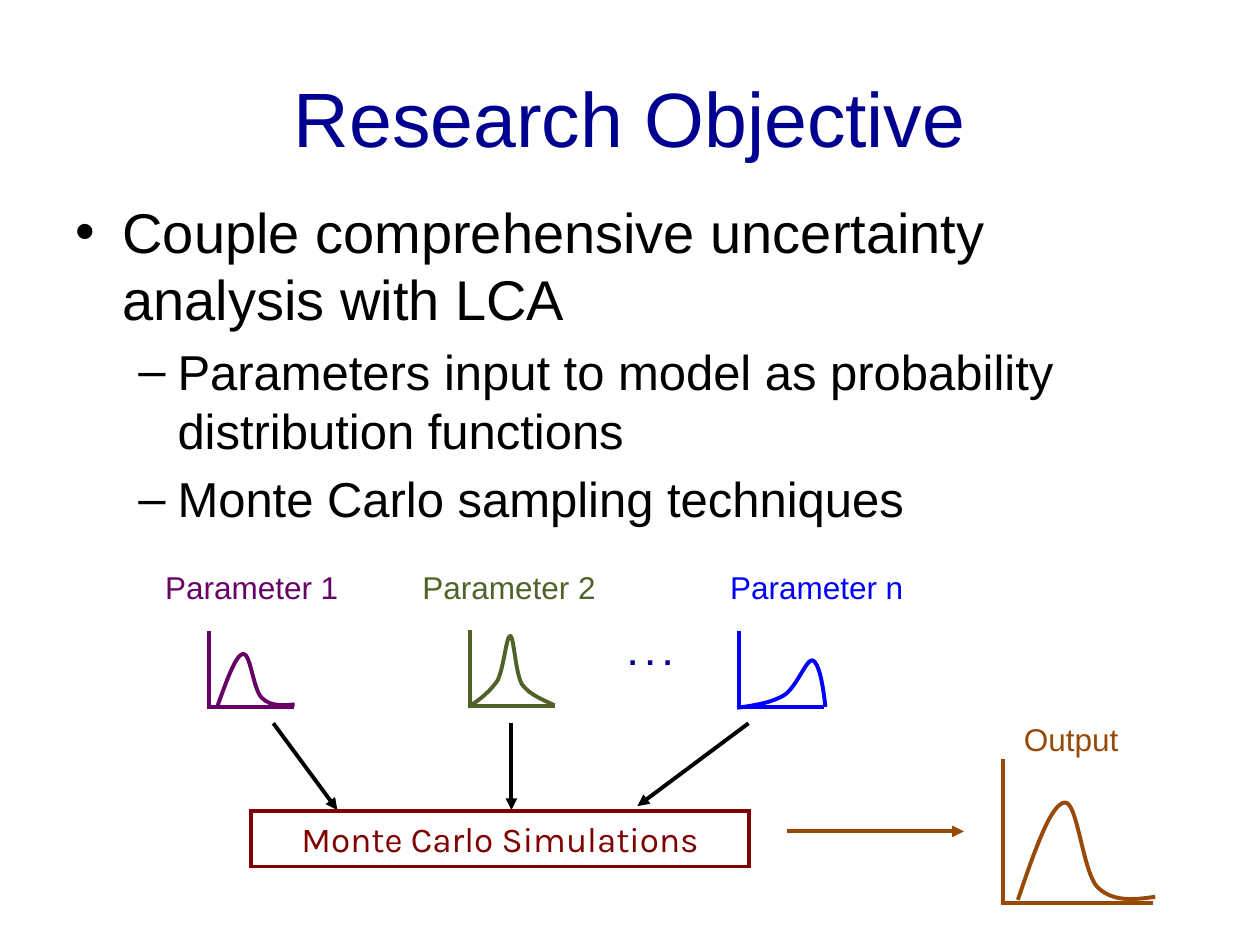
"""Build the Research Objective slide with its Monte Carlo diagram."""
from lxml.etree import SubElement
from pptx import Presentation
from pptx.dml.color import RGBColor
from pptx.enum.shapes import MSO_CONNECTOR, MSO_SHAPE
from pptx.enum.text import MSO_ANCHOR, PP_ALIGN
from pptx.oxml.ns import qn
from pptx.util import Cm, Pt

color = RGBColor.from_string
LINE_WIDTH = Pt(2.25)


def add_line(page, start, end, line_color, arrow=False):
    """Draw a straight line, optionally with an arrowhead at its end."""
    points = [Cm(value) for value in (*start, *end)]
    line = page.shapes.add_connector(MSO_CONNECTOR.STRAIGHT, *points)
    line.line.color.rgb = color(line_color)
    line.line.width = LINE_WIDTH
    properties = line._element.spPr
    SubElement(properties, qn("a:effectLst"))
    if arrow:
        SubElement(properties.find(qn("a:ln")), qn("a:tailEnd"), type="triangle")


def set_text(frame, text, size, font_color, alignment, name="Arial", bold=False):
    """Write one formatted paragraph into a text frame."""
    frame.text = text
    frame.word_wrap = True
    paragraph = frame.paragraphs[0]
    paragraph.alignment = alignment
    font = paragraph.runs[0].font
    font.size = Pt(size)
    font.name = name
    font.bold = bold
    font.color.rgb = color(font_color)


deck = Presentation()
deck.slide_width = Cm(25.4)
deck.slide_height = Cm(19.05)
page = deck.slides.add_slide(deck.slide_layouts[5])

title = page.shapes.title
title.left, title.top, title.width, title.height = Cm(1.27), Cm(0.76), Cm(22.86), Cm(3.18)
set_text(title.text_frame, "Research Objective", 44, "000090", PP_ALIGN.CENTER)
title.text_frame.vertical_anchor = MSO_ANCHOR.MIDDLE

body = page.shapes.add_textbox(Cm(1.27), Cm(3.85), Cm(22.86), Cm(12.57))
body.text_frame.word_wrap = True
bullets = [
    ("Couple comprehensive uncertainty analysis with LCA", 0),
    ("Parameters input to model as probability distribution functions", 1),
    ("Monte Carlo sampling techniques", 1),
]
levels = [("•", 32, 0.95, -0.95), ("–", 28, 2.06, -0.79)]
body.text_frame.text = "\n".join(text for text, level in bullets)
for index, (paragraph, (text, level)) in enumerate(zip(body.text_frame.paragraphs, bullets)):
    mark, size, margin, indent = levels[level]
    paragraph.level = level
    properties = paragraph._p.get_or_add_pPr()
    properties.set("marL", str(Cm(margin)))
    properties.set("indent", str(Cm(indent)))
    SubElement(properties, qn("a:buFont"), typeface="Arial")
    SubElement(properties, qn("a:buChar"), char=mark)
    if index:
        paragraph.space_before = Pt(size * 0.2)
    font = paragraph.runs[0].font
    font.size = Pt(size)
    font.name = "Arial"
    font.color.rgb = color("000000")

simulation = page.shapes.add_shape(MSO_SHAPE.RECTANGLE, Cm(5.07), Cm(16.35), Cm(10.03), Cm(1.12))
simulation.shadow.inherit = False
simulation.fill.solid()
simulation.fill.fore_color.rgb = color("FFFFFF")
simulation.line.color.rgb = color("800000")
simulation.line.width = LINE_WIDTH
SubElement(simulation._element.spPr.find(qn("a:ln")), qn("a:miter"), lim="800000")
set_text(simulation.text_frame, "Monte Carlo Simulations", 20, "800000", PP_ALIGN.CENTER, "Karla")

arrows = [
    ((10.31, 14.58), (10.31, 16.33), "000000"),
    ((15.09, 14.58), (12.85, 16.25), "000000"),
    ((5.51, 14.58), (6.8, 16.33), "000000"),
    ((15.86, 16.76), (19.43, 16.76), "984807"),
]
for start, end, line_color in arrows:
    add_line(page, start, end, line_color, arrow=True)

plots = [
    ((4.21, 12.72, 5.92, 14.25), "660066", [
        (4.39, 14.22), (4.57, 13.72), (4.75, 13.21), (4.9, 13.18), (5.05, 13.16),
        (5.11, 13.92), (5.28, 14.07), (5.46, 14.25), (5.72, 14.22), (5.94, 14.2)]),
    ((9.47, 12.7, 11.18, 14.24), "4F6228", [
        (9.45, 14.25), (9.68, 14.1), (9.88, 13.94), (10.03, 13.72), (10.16, 13.46),
        (10.21, 12.8), (10.29, 12.82), (10.36, 12.83), (10.39, 13.56), (10.52, 13.79),
        (10.67, 14.02), (11.05, 14.15), (11.18, 14.22)]),
    ((14.9, 12.72, 16.61, 14.25), "0000FF", [
        (14.86, 14.27), (15.21, 14.22), (15.54, 14.17), (15.8, 14.02), (16.05, 13.87),
        (16.26, 13.28), (16.38, 13.31), (16.51, 13.36), (16.59, 13.79), (16.64, 14.25)]),
    ((20.21, 15.31, 23.24, 18.2), "984807", [
        (20.52, 18.14), (20.85, 17.17), (21.18, 16.21), (21.46, 16.18), (21.72, 16.13),
        (21.82, 17.55), (22.12, 17.88), (22.43, 18.19), (22.86, 18.14), (23.29, 18.08)]),
]
for (left, top, right, bottom), line_color, controls in plots:
    add_line(page, (left, top), (left, bottom), line_color)
    add_line(page, (right, bottom), (left - 0.03, bottom), line_color)
    points = [(Cm(x), Cm(y)) for x, y in controls]
    builder = page.shapes.build_freeform(*points[0])
    builder.add_line_segments(points[1:], close=False)
    curve = builder.convert_to_shape()
    curve.shadow.inherit = False
    curve.fill.background()
    curve.line.color.rgb = color(line_color)
    curve.line.width = LINE_WIDTH
    outline = next(curve._element.iter(qn("a:path")))
    for index, segment in enumerate(outline.findall(qn("a:lnTo"))):
        if index % 3 == 0:
            bezier = SubElement(outline, qn("a:cubicBezTo"))
        bezier.append(segment[0])
        outline.remove(segment)

labels = [
    ("Parameter 1", 2.61, 11.33, 4.93, "660066", PP_ALIGN.CENTER, False),
    ("Parameter 2", 7.8, 11.33, 4.93, "4F6228", PP_ALIGN.CENTER, False),
    ("Parameter n", 14, 11.33, 4.93, "0000FF", PP_ALIGN.CENTER, False),
    (". . .", 12.42, 12.65, 1.83, "000090", PP_ALIGN.LEFT, True),
    ("Output", 19.6, 14.39, 3.99, "984807", PP_ALIGN.CENTER, False),
]
for text, left, top, width, font_color, alignment, bold in labels:
    label = page.shapes.add_textbox(Cm(left), Cm(top), Cm(width), Cm(1.02))
    set_text(label.text_frame, text, 18, font_color, alignment, bold=bold)

deck.save("out.pptx")
